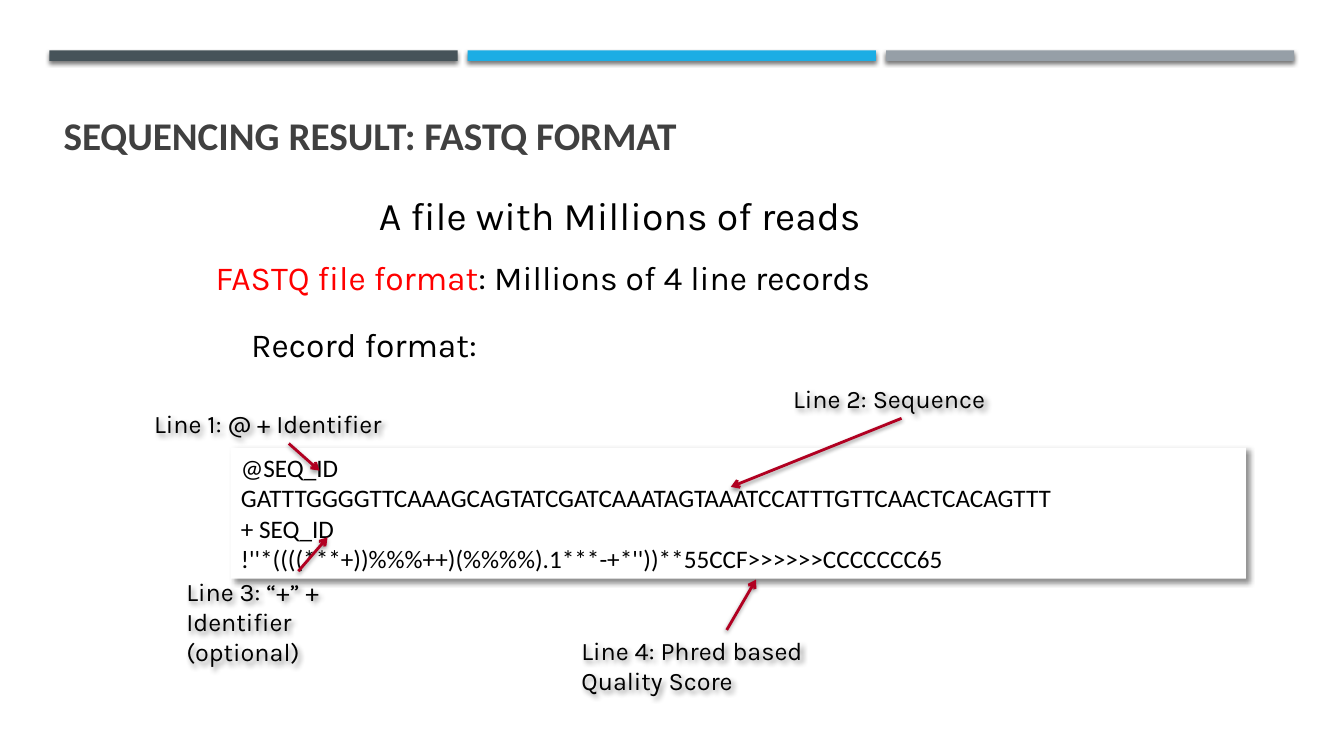
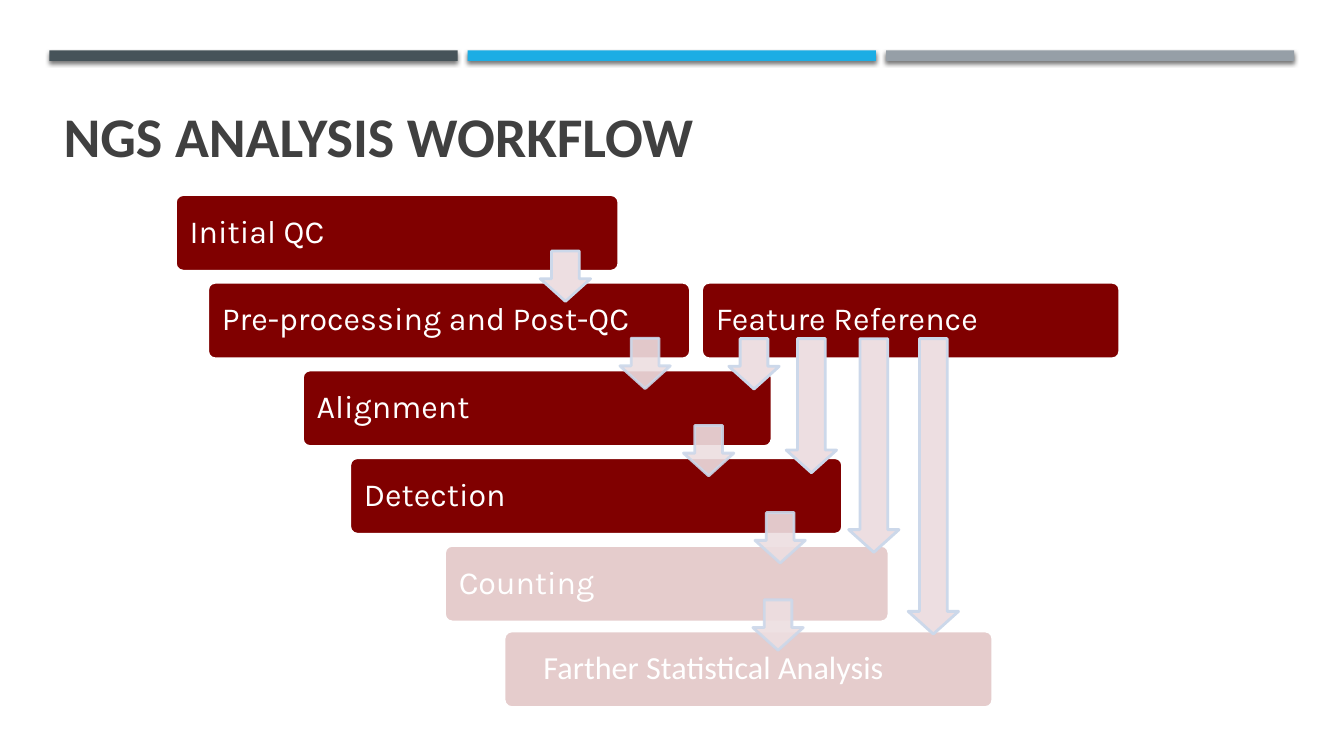
from lxml.etree import SubElement
from pptx import Presentation
from pptx.dml.color import RGBColor
from pptx.enum.shapes import MSO_CONNECTOR as Connector, MSO_SHAPE as Shape
from pptx.enum.text import MSO_ANCHOR as Anchor, PP_ALIGN as Align
from pptx.oxml.ns import qn
from pptx.util import Pt

WHITE = RGBColor(0xFF, 0xFF, 0xFF)
BLACK = RGBColor(0, 0, 0)
RED = RGBColor(0xFF, 0, 0)
TITLE_GREY = RGBColor(0x40, 0x40, 0x40)
BAND_COLORS = (RGBColor(0x46, 0x53, 0x59), RGBColor(0x1C, 0xAD, 0xE4),
               RGBColor(0x96, 0x9F, 0xA7))
POINTER = RGBColor(0xB1, 0x00, 0x21)
MAROON = RGBColor(0x80, 0, 0)
ARROW_FILL = RGBColor(0xED, 0xDE, 0xE1)
ARROW_LINE = RGBColor(0xCC, 0xD8, 0xEA)

HEADING_FONT, BODY_FONT = "Calibri", "Karla"

# Shadows: opacity in percent, blur, distance, direction in degrees
BAND_SHADOW = (55, 3, 2, 90)
RECORD_SHADOW = (43, 4, 3, 45)
POINTER_SHADOW = (38, 3.1, 1.6, 90)
LABEL_SHADOW = (43, 4, 3, 45)


def set_shadow(shape, opacity, blur, distance, direction):
    properties = shape._element.spPr
    effects = properties.find(qn("a:effectLst"))
    if effects is None:
        effects = SubElement(properties, qn("a:effectLst"))
    shadow = SubElement(effects, qn("a:outerShdw"), blurRad=str(Pt(blur)),
                        dist=str(Pt(distance)), dir=str(direction * 60000),
                        algn="ctr", rotWithShape="0")
    color = SubElement(shadow, qn("a:srgbClr"), val="000000")
    SubElement(color, qn("a:alpha"), val=str(opacity * 1000))


def set_opacity(shape, percent, include_line=False):
    properties = shape._element.spPr
    fills = [properties.find(qn("a:solidFill"))]
    if include_line:
        fills.append(properties.find(qn("a:ln")).find(qn("a:solidFill")))
    for fill in fills:
        SubElement(fill[0], qn("a:alpha"), val=str(percent * 1000))


def write_text(shape, *lines, size=18, font=BODY_FONT, color=BLACK, bold=False,
               anchor=Anchor.TOP, insets=(7.2, 3.6, 7.2, 3.6),
               line_spacing=None, space_after=None):
    """Write one paragraph a line; a line is text or a list of (text, color)."""
    frame = shape.text_frame
    frame.word_wrap = True
    frame.vertical_anchor = anchor
    (frame.margin_left, frame.margin_top,
     frame.margin_right, frame.margin_bottom) = map(Pt, insets)
    for index, line in enumerate(lines):
        paragraph = frame.add_paragraph() if index else frame.paragraphs[0]
        paragraph.alignment = Align.LEFT
        if line_spacing:
            paragraph.line_spacing = line_spacing
        if space_after:
            paragraph.space_after = Pt(space_after)
        for text, run_color in [(line, color)] if isinstance(line, str) else line:
            run = paragraph.add_run()
            run.text = text
            run.font.name = font
            run.font.size = Pt(size)
            run.font.bold = bold
            run.font.color.rgb = run_color


def add_text(slide, left, top, width, height, *lines, **text_format):
    box = slide.shapes.add_textbox(Pt(left), Pt(top), Pt(width), Pt(height))
    write_text(box, *lines, **text_format)
    return box


def add_filled(slide, kind, left, top, width, height, fill, line=None):
    shape = slide.shapes.add_shape(kind, Pt(left), Pt(top), Pt(width), Pt(height))
    shape.shadow.inherit = False
    shape.fill.solid()
    shape.fill.fore_color.rgb = fill
    if line is None:
        shape.line.fill.background()
    else:
        shape.line.color.rgb = line
        shape.line.width = Pt(2)
    return shape


def add_titled_slide(presentation, title, size):
    slide = presentation.slides.add_slide(presentation.slide_layouts[6])
    for index, color in enumerate(BAND_COLORS):
        band = add_filled(slide, Shape.RECTANGLE, 35.3 + index * 298.8, 36,
                          291.6, 7.5, color)
        set_shadow(band, *BAND_SHADOW)
    add_text(slide, 45.4, 57.6, 868.3, 77.8, title, size=size,
             font=HEADING_FONT, color=TITLE_GREY, bold=True,
             anchor=Anchor.MIDDLE, insets=(0, 0, 0, 0))
    return slide


def add_pointer(slide, label, side, end_x, end_y):
    """Draw an arrow from the middle of a label's side to a point."""
    pointer = slide.shapes.add_connector(Connector.STRAIGHT, 0, 0,
                                         Pt(end_x), Pt(end_y))
    pointer.begin_connect(label, side)
    pointer.line.color.rgb = POINTER
    pointer.line.width = Pt(2)
    SubElement(pointer.line._get_or_add_ln(), qn("a:tailEnd"), type="arrow")
    set_shadow(pointer, *POINTER_SHADOW)


def add_step(slide, left, top, width, text, font=BODY_FONT, inset=8.6, faded=False):
    step = add_filled(slide, Shape.ROUNDED_RECTANGLE, left, top, width, 54.7,
                      MAROON, WHITE)
    step.adjustments[0] = 0.1
    if faded:
        set_opacity(step, 20)
    write_text(step, text, size=23, font=font, color=WHITE,
               anchor=Anchor.MIDDLE, insets=(inset, 8.6, 7.2, 8.6),
               line_spacing=0.9, space_after=8.1)


def add_down_arrow(slide, left, top, height=36, translucent=False):
    arrow = add_filled(slide, Shape.DOWN_ARROW, left, top, 36, height,
                       ARROW_FILL, ARROW_LINE)
    arrow.adjustments[0] = 0.55
    arrow.adjustments[1] = 0.45
    if translucent:
        set_opacity(arrow, 90, include_line=True)


def build_fastq_slide(presentation):
    slide = add_titled_slide(presentation, "SEQUENCING RESULT: FASTQ FORMAT", 28)

    # Introduction
    add_text(slide, 263.5, 133.2, 388.8, 40.3, "A file with Millions of reads", size=28)
    add_text(slide, 147, 180, 530, 36,
             [("FASTQ file format", RED), (": Millions of 4 line records", BLACK)],
             size=24)
    add_text(slide, 172.2, 228.2, 193, 36, "Record format:", size=24)

    # Sample record
    record = add_filled(slide, Shape.RECTANGLE, 165, 319.7, 725, 93.6, WHITE)
    set_shadow(record, *RECORD_SHADOW)
    write_text(record, "@SEQ_ID",
               "GATTTGGGGTTCAAAGCAGTATCGATCAAATAGTAAATCCATTTGTTCAACTCACAGTTT",
               "+ SEQ_ID",
               "!''*((((***+))%%%++)(%%%%).1***-+*''))**55CCF>>>>>>CCCCCCC65",
               font=HEADING_FONT)

    # Labels: text, frame, side the pointer leaves from, pointer end
    top_side, bottom_side = 0, 2
    labels = [
        ("Line 1: @ + Identifier", (103, 288, 206.6, 28.8), bottom_side, (228.2, 336.2)),
        ("Line 2: Sequence", (559.4, 270, 169.2, 28.8), bottom_side, (522, 347.8)),
        ("Line 3: “+” + Identifier (optional)", (126, 408, 174.2, 72), top_side,
         (234, 383.8)),
        ("Line 4: Phred based Quality Score", (408.2, 450, 221.8, 50.4), top_side,
         (540, 414)),
    ]
    for text, frame, side, end in labels:
        label = add_text(slide, *frame, text)
        set_shadow(label, *LABEL_SHADOW)
        add_pointer(slide, label, side, *end)


def build_workflow_slide(presentation):
    slide = add_titled_slide(presentation, "NGS ANALYSIS WORKFLOW", 40)

    # Staircase of steps
    steps = [("Initial QC", 125.3, 316.8), ("Pre-processing and Post-QC", 148.3, 344.9),
             ("Alignment", 216, 335.5), ("Detection", 249.8, 352.1),
             ("Counting", 317.5, 317.5)]
    first_top, pitch = 139, 62.64
    for index, (text, left, width) in enumerate(steps):
        add_step(slide, left, first_top + index * pitch, width, text,
                 faded=text == "Counting")
    add_step(slide, 360, 450.7, 349.2, "Farther Statistical Analysis",
             font=HEADING_FONT, inset=26.6, faded=True)
    add_step(slide, 501.1, first_top + pitch, 298.8, "Feature Reference")

    # Arrows from each step to the next
    for index, left in enumerate((385.9, 442.8, 488.2, 539.3, 537.8)):
        add_down_arrow(slide, left, 179.3 + index * 62.3, translucent=index > 0)

    # Arrows from the feature reference
    for left, height in ((520.6, 36), (561.6, 95.8), (606.2, 152.6), (648.7, 211)):
        add_down_arrow(slide, left, 241.9, height)


def main():
    presentation = Presentation()
    presentation.slide_width = Pt(960)
    presentation.slide_height = Pt(540)
    build_fastq_slide(presentation)
    build_workflow_slide(presentation)
    presentation.save("out.pptx")


if __name__ == "__main__":
    main()
